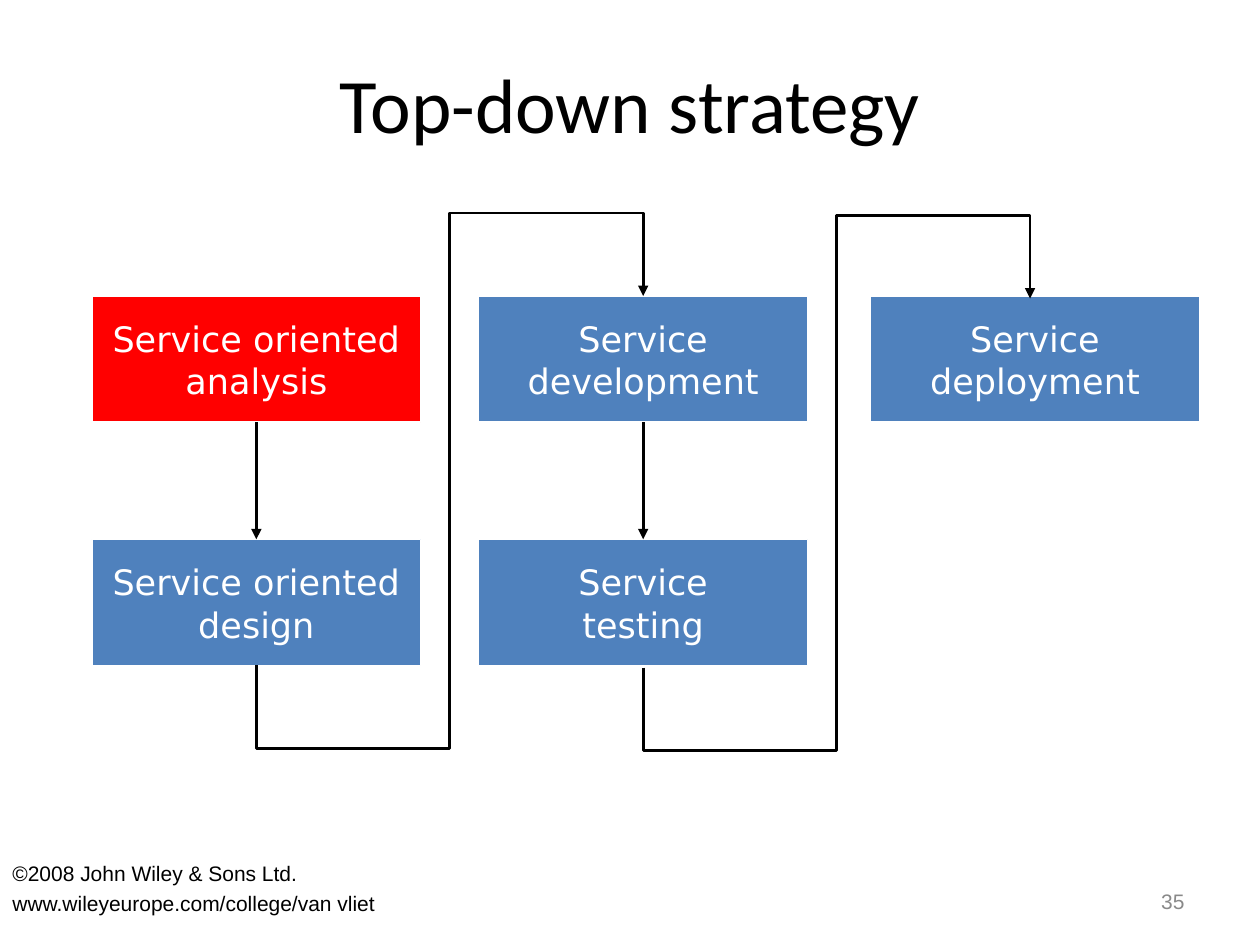
from dataclasses import dataclass

from lxml.etree import SubElement
from pptx import Presentation
from pptx.dml.color import RGBColor
from pptx.enum.shapes import MSO_CONNECTOR as Link, MSO_SHAPE as Preset
from pptx.enum.text import MSO_ANCHOR as Anchor, PP_ALIGN as Align
from pptx.oxml.ns import qn
from pptx.util import Inches, Pt

CELL = Inches(0.01)  # the slide is a grid of 1000 columns by 750 rows


@dataclass(frozen=True)
class Theme:
    black: str = "000000"
    white: str = "FFFFFF"
    grey: str = "898989"
    blue: str = "4F81BD"
    red: str = "FF0000"
    title_font: str = "Calibri"
    step_font: str = "DejaVu Sans"
    small_font: str = "Arial"
    title_size: int = 44
    step_size: int = 20
    small_size: int = 12


@dataclass(frozen=True)
class Box:
    left: int
    top: int
    width: int
    height: int

    def inner(self, left, top, width, height):
        return Box(self.left + left, self.top + top, width, height)

    def lengths(self):
        return [CELL * n for n in (self.left, self.top, self.width, self.height)]


THEME = Theme()


def write_text(shape, text, *, font, size, color, align=Align.LEFT,
               anchor=Anchor.TOP, wrap=True, gap=0, spacing=None):
    frame = shape.text_frame
    frame.word_wrap = wrap
    frame.vertical_anchor = anchor
    frame.text = text
    for index, paragraph in enumerate(frame.paragraphs):
        paragraph.alignment = align
        paragraph.line_spacing = spacing
        if index:
            paragraph.space_before = Pt(gap)
        paragraph.font.name = font
        paragraph.font.size = Pt(size)
        paragraph.font.color.rgb = RGBColor.from_string(color)


def add_label(slide, box, text, **text_format):
    write_text(slide.shapes.add_textbox(*box.lengths()), text, **text_format)


def add_step(slide, box, text, fill):
    shape = slide.shapes.add_shape(Preset.RECTANGLE, *box.lengths())
    shape.shadow.inherit = False
    shape.fill.solid()
    shape.fill.fore_color.rgb = RGBColor.from_string(fill)
    shape.line.color.rgb = RGBColor.from_string(THEME.white)
    shape.line.width = Pt(0.75)
    write_text(shape, text, font=THEME.step_font, size=THEME.step_size,
               color=THEME.white, align=Align.CENTER, anchor=Anchor.MIDDLE,
               wrap=False, spacing=1.02)
    return shape


def add_arrow(slide, kind, left, top, right, bottom):
    arrow = slide.shapes.add_connector(
        kind, *(int(CELL * n) for n in (left, top, right, bottom)))
    arrow.line.color.rgb = RGBColor.from_string(THEME.black)
    arrow.line.width = Pt(1.5)
    SubElement(arrow.line._get_or_add_ln(), qn("a:tailEnd"), type="triangle")
    SubElement(arrow._element.spPr, qn("a:effectLst"))
    return arrow


def add_loop(slide, box, lead):
    """Arrow from the box's lower left, below and above it, to its upper right."""
    # The preset runs sideways, so its frame is the box turned by 90 degrees
    left = box.left + (box.width - box.height) / 2
    top = box.top + (box.height - box.width) / 2
    arrow = add_arrow(slide, Link.ELBOW, left, top,
                      left + box.height, top + box.width)
    properties = arrow._element.spPr
    frame = properties.find(qn("a:xfrm"))
    for name, value in (("rot", "5400000"), ("flipH", "1"), ("flipV", "1")):
        frame.set(name, value)
    geometry = properties.find(qn("a:prstGeom"))
    geometry.set("prst", "bentConnector5")
    guides = geometry.find(qn("a:avLst"))
    share = lead / box.height
    for number, value in enumerate((-share, 0.5, 1 + share), start=1):
        SubElement(guides, qn("a:gd"), name=f"adj{number}",
                   fmla=f"val {round(value * 100000)}")


def draw_title(slide, box):
    add_label(slide, box, "Top-down strategy", font=THEME.title_font,
              size=THEME.title_size, color=THEME.black,
              align=Align.CENTER, anchor=Anchor.MIDDLE)


def draw_flow(slide, box):
    columns, rows = (0, 307, 618), (0, 193)
    step_width, step_height, lead = 261, 100, 66
    stages = (
        ("Service oriented\nanalysis", "Service oriented\ndesign"),
        ("Service\ndevelopment", "Service\ntesting"),
        ("Service\ndeployment",),
    )
    # Steps, joined downwards within a column
    for column, names in zip(columns, stages):
        steps = []
        for row, name in zip(rows, names):
            fill = THEME.red if column == row == 0 else THEME.blue
            place = box.inner(column, row, step_width, step_height)
            steps.append(add_step(slide, place, name, fill))
        for upper, lower in zip(steps, steps[1:]):
            arrow = add_arrow(slide, Link.STRAIGHT, 0, 0, 0, 0)
            arrow.begin_connect(upper, 2)
            arrow.end_connect(lower, 0)

    # Loops from the foot of one column to the head of the next
    middle = step_width / 2
    for column, drop in zip(columns, (0, 2)):
        add_loop(slide, box.inner(column + middle, drop, 307, box.height), lead)

    # Short arrowhead on the last step
    tip_x, tip_y = box.left + 747, box.top - 1
    add_arrow(slide, Link.STRAIGHT, tip_x, tip_y, tip_x, tip_y)


def draw_footer(slide, box):
    small = dict(font=THEME.small_font, size=THEME.small_size)
    add_label(slide, box.inner(717, 17, 233, 40), "35", color=THEME.grey,
              align=Align.RIGHT, anchor=Anchor.MIDDLE, **small)
    add_label(slide, box.inner(0, 0, 658, 72),
              "©2008 John Wiley & Sons Ltd.\nwww.wileyeurope.com/college/van vliet",
              color=THEME.black, gap=3, **small)


def main():
    presentation = Presentation()
    presentation.slide_width = CELL * 1000
    presentation.slide_height = CELL * 750
    slide = presentation.slides.add_slide(presentation.slide_layouts[6])
    draw_title(slide, Box(50, 19, 900, 125))
    draw_flow(slide, Box(73, 235, 879, 293))
    draw_footer(slide, Box(0, 678, 1000, 72))
    presentation.save("out.pptx")


if __name__ == "__main__":
    main()
